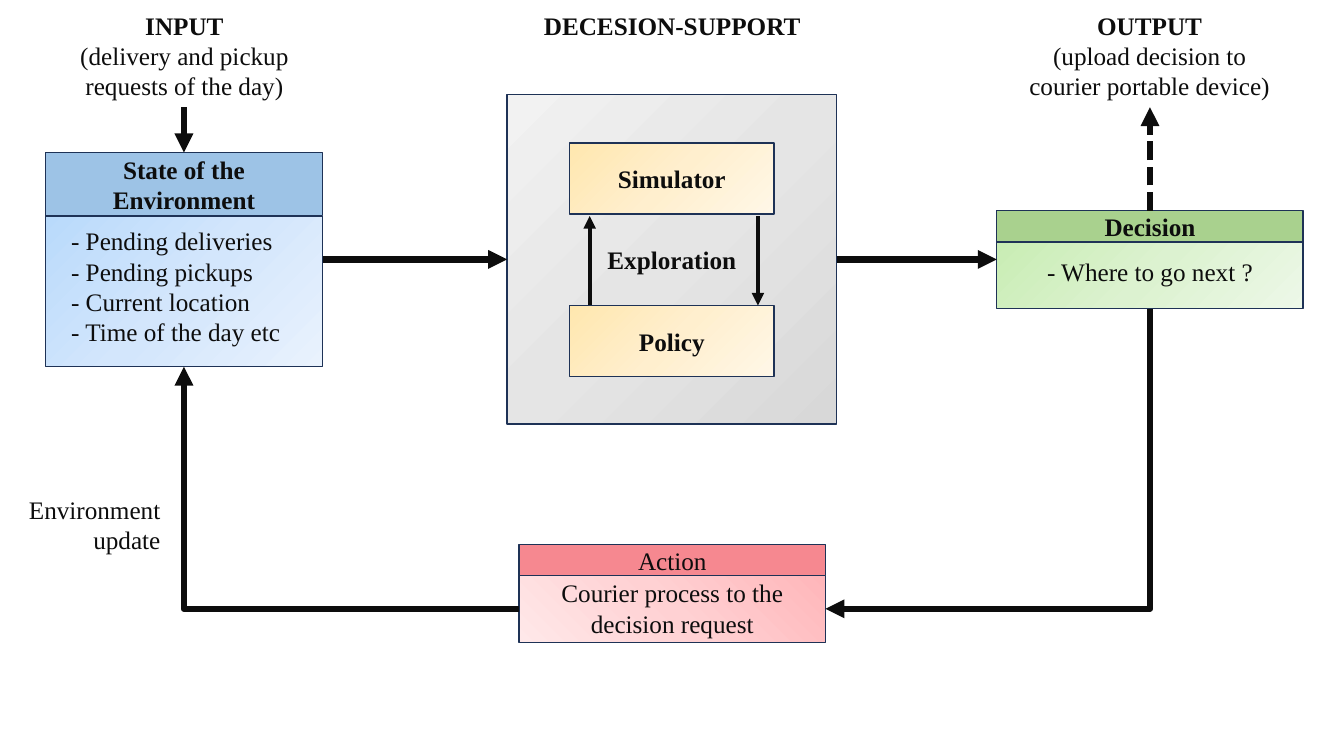
from pptx import Presentation
from pptx.dml.color import RGBColor
from pptx.enum.dml import MSO_LINE as Dash
from pptx.enum.shapes import MSO_CONNECTOR as Link, MSO_SHAPE as Form
from pptx.enum.text import MSO_ANCHOR as Anchor, MSO_AUTO_SIZE as Fit, PP_ALIGN as Align
from pptx.oxml import parse_xml
from pptx.oxml.ns import nsdecls
from pptx.util import Pt

INK = "0D0D0D"
EDGE = "1E3256"
FONT = "Times New Roman"
BLUE = ["B9DAFB", "D3E6FC", "E9F2FD"]
GREEN = ["C9EDB4", "DCF2D0", "EDF8E8"]
GREY = ["D8D8D8", "E5E5E5", "F2F2F2"]
CREAM = ["FFE7AF", "FFEFCE", "FFF7E7"]
PINK = ["FFB6BA", "FFD1D3", "FFE8E9"]
CORNER = ('<a:path path="circle"><a:fillToRect l="100000" b="100000"/></a:path>'
          '<a:tileRect t="-100000" r="-100000"/>')


def color(code):
    return RGBColor.from_string(code)


def slant(angle):
    return f'<a:lin ang="{angle * 60000}" scaled="1"/>'


def blend(shape, codes, course):
    """Fill with three even gradient stops along the given course."""
    stops = "".join(
        f'<a:gs pos="{i * 50000}"><a:srgbClr val="{code}"/></a:gs>'
        for i, code in enumerate(codes))
    grad = parse_xml(f'<a:gradFill {nsdecls("a")} rotWithShape="1">'
                     f'<a:gsLst>{stops}</a:gsLst>{course}</a:gradFill>')
    shape._element.spPr.insert(2, grad)


def write(frame, text, bold=False, align=Align.CENTER, lead=False):
    """Set one paragraph; lead makes only its first line bold."""
    frame.word_wrap = True
    para = frame.paragraphs[0]
    para.text = text
    para.alignment = align
    for i, run in enumerate(para.runs):
        run.font.name = FONT
        run.font.size = Pt(18)
        run.font.bold = bold or (lead and i == 0)
        run.font.color.rgb = color(INK)


def panel(shapes, box, fill, course=slant(45), text=None, bold=True):
    shape = shapes.add_shape(Form.RECTANGLE, *map(Pt, box))
    shape.shadow.inherit = False
    if isinstance(fill, str):
        shape.fill.solid()
        shape.fill.fore_color.rgb = color(fill)
    else:
        blend(shape, fill, course)
    shape.line.color.rgb = color(EDGE)
    shape.line.width = Pt(1)
    if text:
        shape.text_frame.vertical_anchor = Anchor.MIDDLE
        write(shape.text_frame, text, bold)
    return shape


def label(shapes, box, text, **style):
    frame = shapes.add_textbox(*map(Pt, box)).text_frame
    write(frame, text, **style)
    frame.auto_size = Fit.SHAPE_TO_FIT_TEXT


def ink(link, width):
    link.line.color.rgb = color(INK)
    link.line.width = Pt(width)
    link.line._get_or_add_ln().append(
        parse_xml(f'<a:tailEnd {nsdecls("a")} type="triangle"/>'))
    link._element.spPr.append(parse_xml(f'<a:effectLst {nsdecls("a")}/>'))


def arrow(shapes, start, end, width=4.5, dash=None):
    link = shapes.add_connector(Link.STRAIGHT, *map(Pt, start + end))
    if dash:
        link.line.dash_style = dash
    ink(link, width)
    return link


def elbow(shapes, start, end, turn):
    """Draw a single-bend arrow, turned clockwise by 90 or 180 degrees."""
    (x1, y1), (x2, y2) = start, end
    wide, high = abs(x2 - x1), abs(y2 - y1)
    if turn == 90:
        wide, high = high, wide
    left, top = (x1 + x2 - wide) / 2, (y1 + y2 - high) / 2
    link = shapes.add_connector(
        Link.ELBOW, *map(Pt, (left, top, left + wide, top + high)))
    props = link._element.spPr
    props.xfrm.set("rot", str(turn * 60000))
    props.prstGeom.set("prst", "bentConnector2")
    ink(link, 4.5)


def card(slide, box, head, body, fills, split, pad, drop, course=slant(45),
         bold=True, align=Align.CENTER):
    """Place a titled card; return its head."""
    x, y, wide, high = box
    shapes = slide.shapes.add_group_shape().shapes
    top = panel(shapes, (x, y, wide, split), fills[0], text=head, bold=bold)
    panel(shapes, (x, y + split, wide, high - split), fills[1], course)
    lines = body.count("\n") + 1
    area = (x + pad, y + split + drop, wide - 2 * pad, 7.2 + 21.7 * lines)
    label(shapes, area, body, align=align)
    return top


def support(slide, box):
    """Place the decision support block; return its frame."""
    x, y, wide, high = box
    shapes = slide.shapes.add_group_shape().shapes
    frame = panel(shapes, box, GREY, slant(225))
    left, tall = x + 44.6, 50.6
    sim, pol = y + 34.6, y + 150.6
    for top, name in ((sim, "Simulator"), (pol, "Policy")):
        panel(shapes, (left, top, wide - 89.2, tall), CREAM, text=name)
    label(shapes, (x + 64, y + 103.6, wide - 128, 29), "Exploration", bold=True)
    down, up, near = x + 179.2, x + 59, sim + tall + 1.5
    arrow(shapes, (down, near), (down, pol), 3)
    arrow(shapes, (up, pol), (up, near), 3)
    return frame


def titles(slide, top):
    shapes = slide.shapes.add_group_shape().shapes
    for left, wide, high, text in (
            (372.2, 216, 29, "DECESION-SUPPORT"),
            (43.9, 175.7, 72.7, "INPUT\n(delivery and pickup\nrequests of the day)"),
            (726.5, 189.4, 72.7,
             "OUTPUT\n(upload decision to\ncourier portable device)")):
        label(shapes, (left, top, wide, high), text, lead=True)


def flow(slide, state, choice, frame, heads):
    """Link the blocks, whose boxes and head shapes are given."""
    shapes = slide.shapes
    mid_in, mid_out = state[0] + state[2] / 2, choice[0] + choice[2] / 2
    level, base, tip = 185.3, 434.9, 76.6
    elbow(shapes, (ACTION[0], base), (mid_in, state[1] + state[3]), 180)
    elbow(shapes, (mid_out, choice[1] + choice[3]),
          (ACTION[0] + ACTION[2], base), 90)
    right = arrow(shapes, (597.6, level), (choice[0], level))
    right.begin_connect(frame, 3)
    left = arrow(shapes, (state[0] + state[2], level), (362.2, level))
    left.end_connect(frame, 1)
    out = arrow(shapes, (mid_out, choice[1]), (mid_out, tip),
                dash=Dash.SQUARE_DOT)
    out.begin_connect(heads[1], 0)
    into = arrow(shapes, (mid_in, tip), (mid_in, state[1]))
    into.end_connect(heads[0], 0)


STATE = (32.4, 108.9, 198, 153)
CHOICE = (712, 150.5, 218.9, 70)
ACTION = (370.8, 388.8, 218.9, 70)


def main():
    deck = Presentation()
    deck.slide_width, deck.slide_height = Pt(960), Pt(540)
    slide = deck.slides.add_slide(deck.slide_layouts[6])
    state = card(slide, STATE, "State of the\nEnvironment",
                 "- Pending deliveries\n- Pending pickups\n"
                 "- Current location\n- Time of the day etc",
                 ("9DC3E6", BLUE), 45.4, 11.3, 3.4, align=Align.LEFT)
    choice = card(slide, CHOICE, "Decision", "- Where to go next ?",
                  ("A9D18E", GREEN), 22.5, 9.4, 6.3)
    frame = support(slide, (362.2, 67.6, 235.4, 235.4))
    card(slide, ACTION, "Action", "Courier process to the decision request",
         ("F68890", PINK), 22.5, 15.8, -2.2, CORNER, bold=False)
    titles(slide, 3.6)
    label(slide.shapes, (0, 349.2, 121.7, 50.9), "Environment\nupdate",
          align=Align.RIGHT)
    flow(slide, STATE, CHOICE, frame, (state, choice))
    deck.save("out.pptx")


if __name__ == "__main__":
    main()
